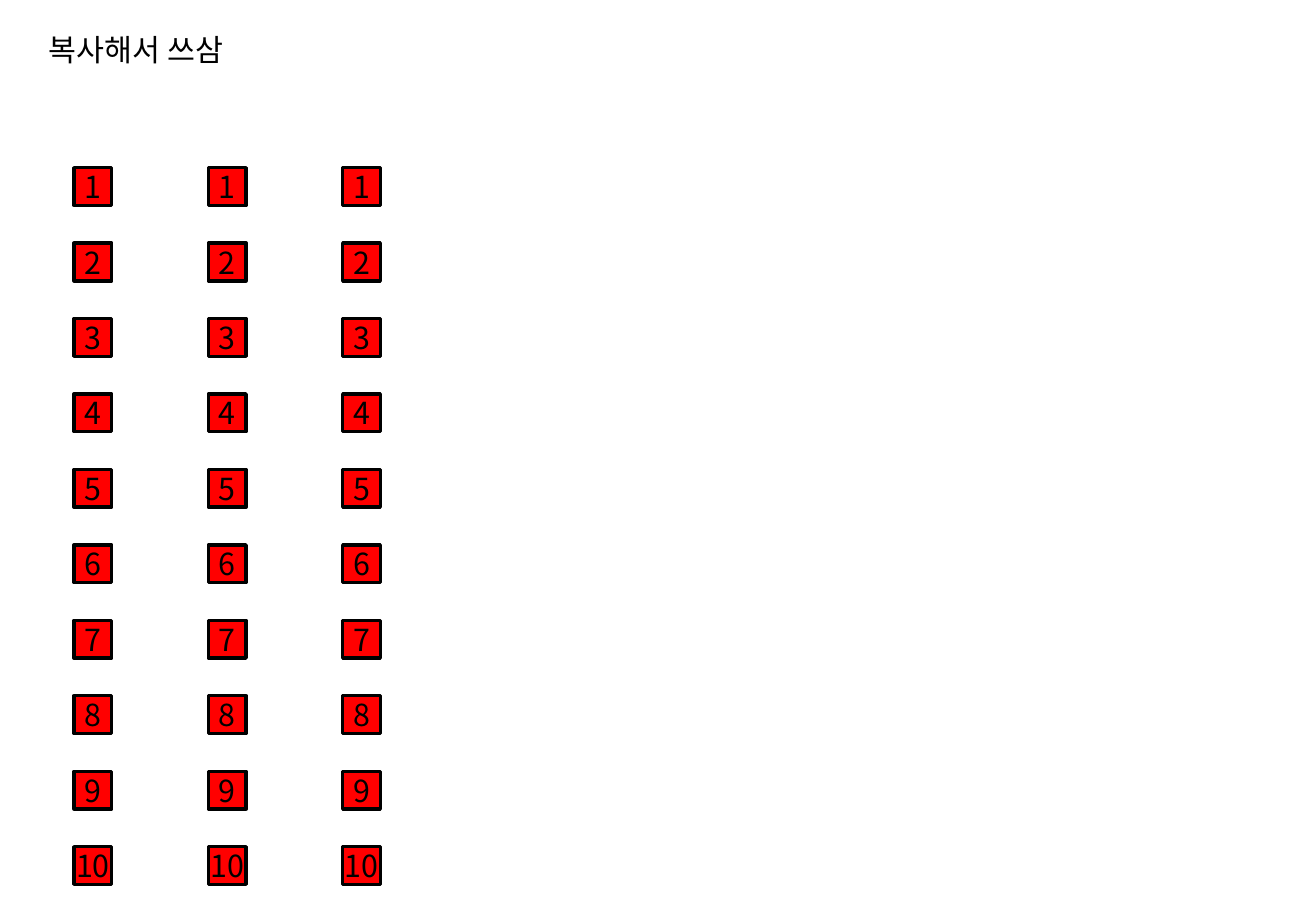
from lxml import etree
from pptx import Presentation
from pptx.dml.color import RGBColor
from pptx.enum import shapes, text
from pptx.oxml import ns
from pptx.util import Pt

COLORS = {"marker": "FF0000", "ink": "000000"}
FONT = "Noto Sans CJK KR"
COLUMNS, ROWS = 3, 10
LEFT, TOP = 43.9, 99.4
COLUMN_STEP, ROW_STEP = 79.6, 44.72
MARKER_SIZE = 22.4


def color(name):
    return RGBColor.from_string(COLORS[name])


def set_text(tf, content, align, anchor):
    tf.text = content
    tf.vertical_anchor = anchor
    p = tf.paragraphs[0]
    p.alignment = align
    r = p.runs[0]
    r.font.size = Pt(18)
    r.font.color.rgb = color("ink")
    r.font.name = FONT
    ea = etree.SubElement(r.font._element, ns.qn("a:ea"))
    ea.set("typeface", FONT)


def add_title(s, content):
    sp = s.shapes.title
    sp.left, sp.top, sp.width, sp.height = Pt(21.6), Pt(15.1), Pt(374.4), Pt(28.8)
    tf = sp.text_frame
    set_text(tf, content, text.PP_ALIGN.LEFT, text.MSO_ANCHOR.TOP)
    tf.word_wrap = True
    tf.auto_size = text.MSO_AUTO_SIZE.SHAPE_TO_FIT_TEXT


def add_marker(s, left, top, number):
    """Add a red square with a centred number."""
    sp = s.shapes.add_shape(shapes.MSO_SHAPE.RECTANGLE, Pt(left), Pt(top),
                            Pt(MARKER_SIZE), Pt(MARKER_SIZE))
    sp.shadow.inherit = False
    sp.fill.solid()
    sp.fill.fore_color.rgb = color("marker")
    sp.line.color.rgb = color("ink")
    sp.line.width = Pt(2)
    tf = sp.text_frame
    tf.margin_left = tf.margin_right = tf.margin_top = tf.margin_bottom = 0
    tf.word_wrap = False
    set_text(tf, str(number), text.PP_ALIGN.CENTER, text.MSO_ANCHOR.MIDDLE)


def main():
    prs = Presentation()
    prs.slide_width, prs.slide_height = Pt(780), Pt(540)
    s = prs.slides.add_slide(prs.slide_layouts.get_by_name("Title Only"))
    add_title(s, "복사해서 쓰삼")
    for column in range(COLUMNS):
        for row in range(ROWS):
            add_marker(s, LEFT + column * COLUMN_STEP, TOP + row * ROW_STEP, row + 1)
    prs.save("out.pptx")


if __name__ == "__main__":
    main()
